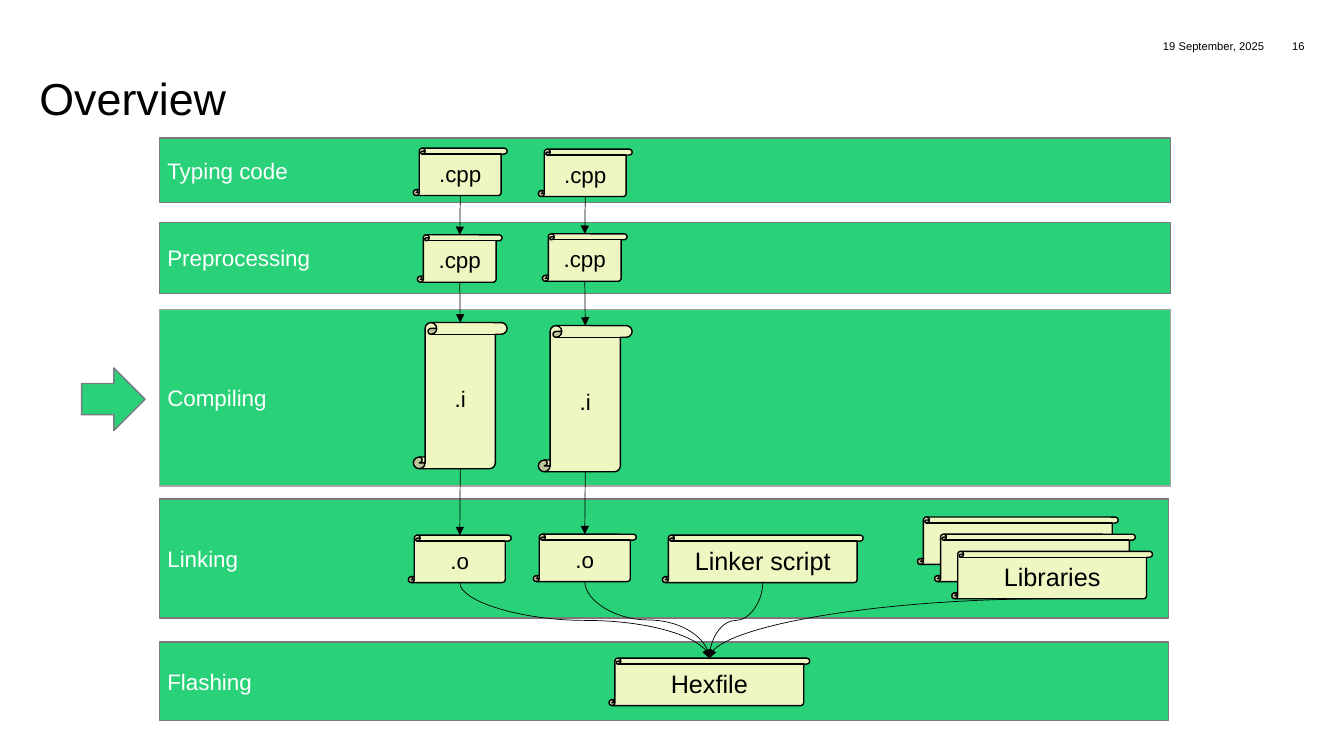
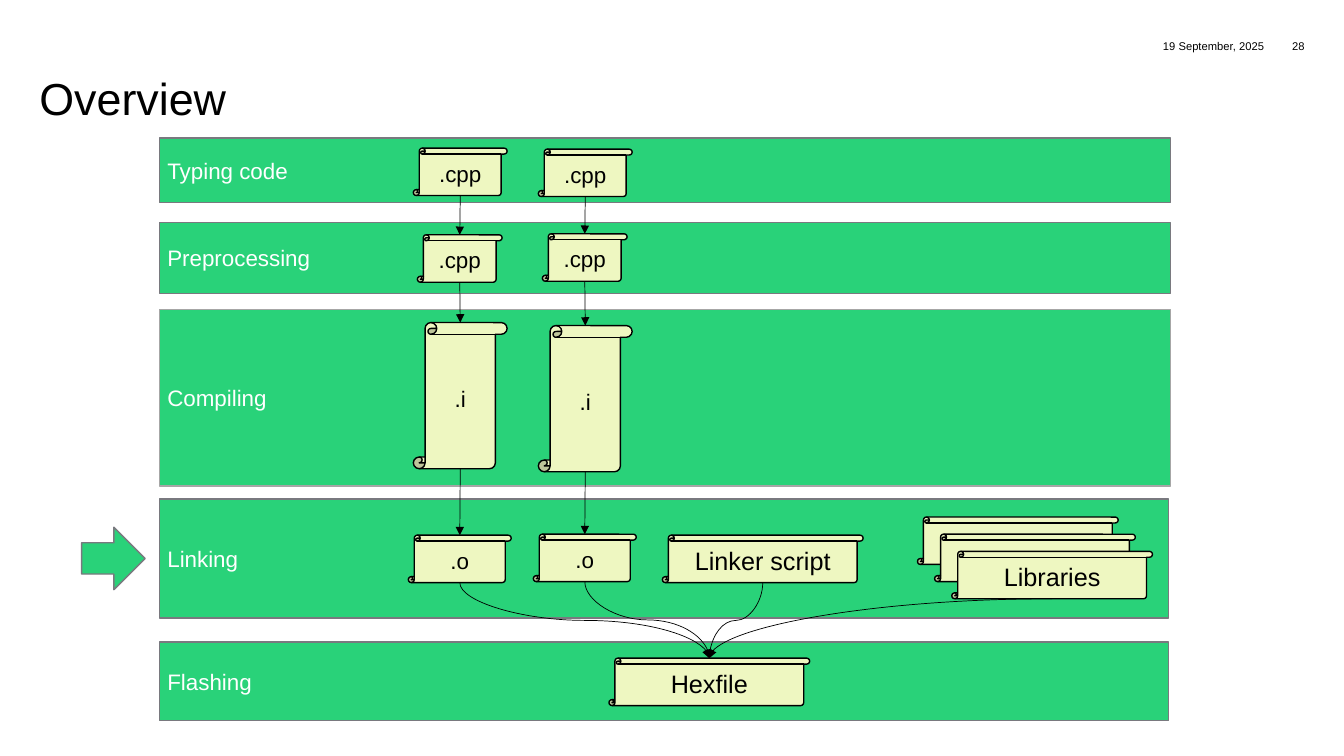
from lxml.etree import SubElement
from pptx import Presentation
from pptx.dml.color import RGBColor as RGB
from pptx.enum.shapes import MSO_CONNECTOR as CONN, MSO_SHAPE as SHAPE
from pptx.enum.text import MSO_ANCHOR as ANCHOR, PP_ALIGN as ALIGN
from pptx.oxml.ns import qn
from pptx.util import Pt

PX = 9144
COLORS = {"green": "29D279", "scroll": "EEF7C1", "edge": "79797F",
          "soft": "A6A6A6", "black": "000000", "white": "FFFFFF"}
BANDS = [("Typing code", 137, 1003, 64, "edge"),
         ("Preprocessing", 221, 1003, 70, "edge"),
         ("Compiling", 307, 1003, 175, "soft"),
         ("Linking", 495, 1001, 118, "edge"),
         ("Flashing", 637, 1001, 78, "edge")]
STAGES = [(".cpp", 93, 47), (".cpp", 84, 47), (".i", 93, 145), (".o", 102, 47)]
COLUMNS = [(456, (147, 233, 320, 531)), (580, (148, 232, 323, 530))]
SLIDES = [(16, 365), (28, 523)]


class Deck:
    """Holds the shared style and the current slide."""

    def __init__(self, prs):
        self.prs = prs
        self.s = None

    def color(self, name):
        return RGB.from_string(COLORS[name])

    def new_slide(self, title, number):
        self.s = self.prs.slides.add_slide(self.prs.slide_layouts[6])
        self.text(title, (39, 61, 1255, 63), 32, ALIGN.LEFT, ANCHOR.BOTTOM, 0.83)
        self.text("19 September, 2025", (1118, 39, 136, 21), 8, ALIGN.RIGHT)
        self.text(str(number), (1254, 39, 40, 21), 8, ALIGN.RIGHT)

    def label(self, sp, text, size, color, align, anchor, inset=(0, 0), spacing=None):
        tf = sp.text_frame
        x, y = (v * PX for v in inset)
        frame = {"word_wrap": True, "vertical_anchor": anchor, "margin_left": x,
                 "margin_right": x, "margin_top": y, "margin_bottom": y}
        for name, value in frame.items():
            setattr(tf, name, value)
        p = tf.paragraphs[0]
        p.alignment = align
        if spacing:
            p.line_spacing = spacing
        r = p.add_run()
        r.text = text
        for name, value in {"name": "Arial", "size": Pt(size)}.items():
            setattr(r.font, name, value)
        r.font.color.rgb = self.color(color)

    def text(self, text, box, size, align, anchor=ANCHOR.TOP, spacing=None):
        sp = self.s.shapes.add_textbox(*(v * PX for v in box))
        self.label(sp, text, size, "black", align, anchor, spacing=spacing)

    def shape(self, kind, box, fill, line):
        sp = self.s.shapes.add_shape(kind, *(v * PX for v in box))
        sp.shadow.inherit = False
        sp.fill.solid()
        sp.fill.fore_color.rgb = self.color(fill)
        sp.line.color.rgb = self.color(line)
        sp.line.width = Pt(1)
        return sp

    def band(self, name, top, width, height, line):
        sp = self.shape(SHAPE.RECTANGLE, (158, top, width, height), "green", line)
        self.label(sp, name, 16, "white", ALIGN.LEFT, ANCHOR.MIDDLE, (8, 4))

    def scroll(self, name, box, size=18):
        sp = self.shape(SHAPE.VERTICAL_SCROLL, box, "scroll", "black")
        if name:
            self.label(sp, name, size, "black", ALIGN.CENTER, ANCHOR.MIDDLE, (8, 4))
        return sp

    def pointer(self, top):
        self.shape(SHAPE.RIGHT_ARROW, (81, top, 63, 62), "green", "edge")

    def connector(self, kind, start, end):
        c = self.s.shapes.add_connector(kind, *start, *end)
        c.line.color.rgb = self.color("black")
        c.line.width = Pt(0.5)
        spPr = c._element.spPr
        SubElement(spPr.find(qn("a:ln")), qn("a:tailEnd"), type="triangle")
        SubElement(spPr, qn("a:effectLst"))
        return c

    def bottom(self, sp):
        return sp.left + sp.width // 2, sp.top + sp.height

    def top(self, sp):
        return sp.left + sp.width // 2, sp.top

    def arrow(self, a, b, kind=CONN.STRAIGHT):
        c = self.connector(kind, self.bottom(a), self.top(b))
        c.begin_connect(a, 2)
        c.end_connect(b, 0)
        return c

    def s_curve(self, a, b):
        c = self.arrow(a, b, CONN.CURVE)
        (x1, y1), (x2, y2) = self.bottom(a), self.top(b)
        drop, shift, right = y2 - y1, abs(x2 - x1), x2 > x1
        place = {"left": (x1 + x2 - drop) // 2, "top": (y1 + y2 - shift) // 2,
                 "width": drop, "height": shift}
        for name, value in place.items():
            setattr(c, name, value)
        turn = {"rot": 270 if right else 90, "flipH": right, "flipV": False}
        for name, value in turn.items():
            setattr(c._element.spPr.xfrm, name, value)

    def side_curve(self, a, b):
        c = self.connector(CONN.CURVE, self.bottom(a), self.top(b))
        c._element.spPr.find(qn("a:prstGeom")).set("prst", "curvedConnector2")
        c.end_connect(b, 0)


def overview(deck, number, pointer_top):
    deck.new_slide("Overview", number)
    for band in BANDS:
        deck.band(*band)
    columns = [[deck.scroll(name, (center - w // 2, top, w, h), 16)
                for (name, w, h), top in zip(STAGES, tops)]
               for center, tops in COLUMNS]
    linker = deck.scroll("Linker script", (657, 531, 199, 47))
    for i, name in enumerate(("", "", "Libraries")):
        library = deck.scroll(name, (910 + 17 * i, 513 + 17 * i, 199, 47))
    hexfile = deck.scroll("Hexfile", (604, 653, 199, 47))
    for column in columns:
        for a, b in zip(column, column[1:]):
            deck.arrow(a, b)
    for sp in [column[-1] for column in columns] + [linker]:
        deck.s_curve(sp, hexfile)
    deck.side_curve(library, hexfile)
    deck.pointer(pointer_top)


def main():
    prs = Presentation()
    prs.slide_width, prs.slide_height = 1333 * PX, 750 * PX
    deck = Deck(prs)
    for number, pointer_top in SLIDES:
        overview(deck, number, pointer_top)
    prs.save("out.pptx")


if __name__ == "__main__":
    main()
